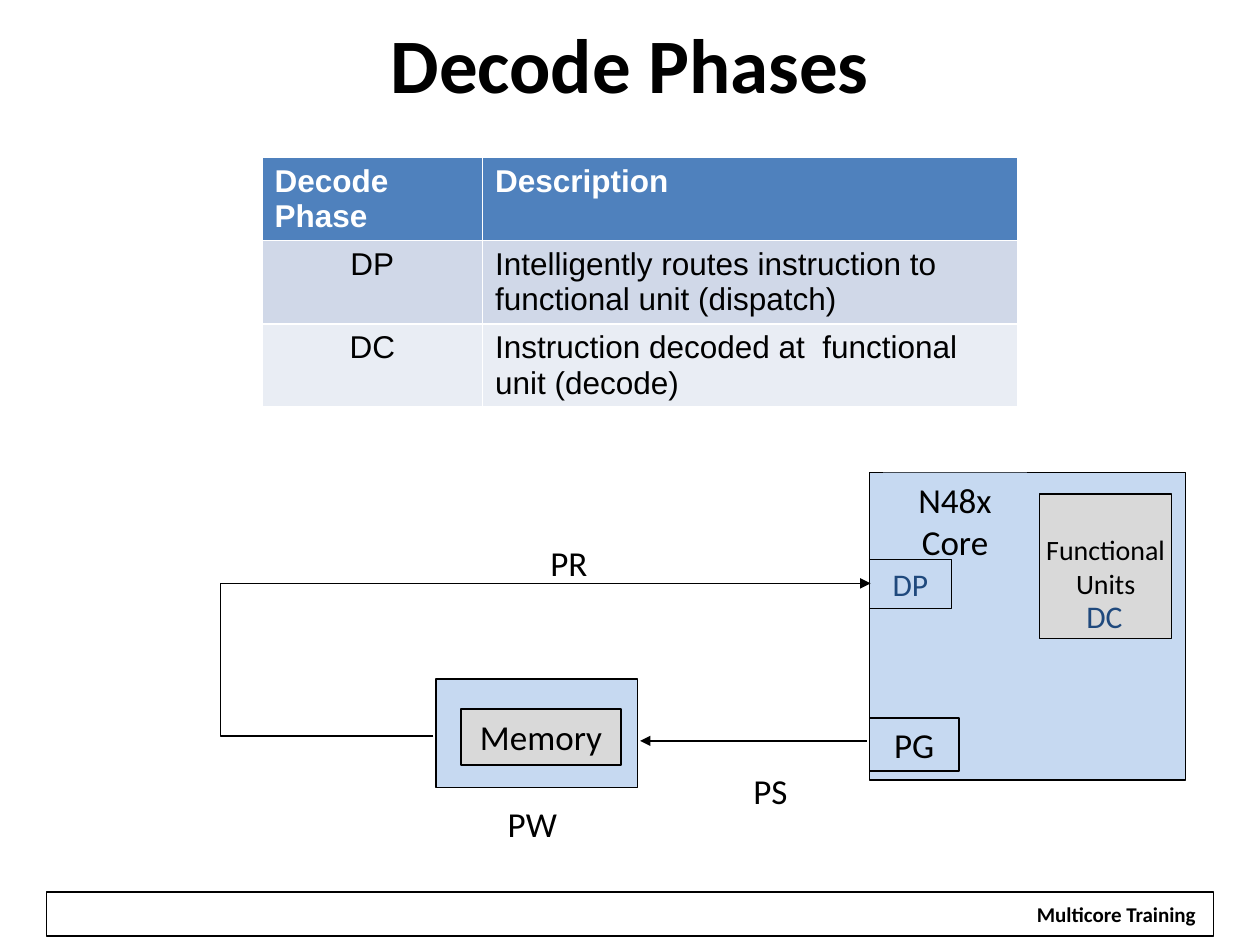
"""Build the Decode Phases slide: a phase table above a core and memory diagram."""
from lxml.etree import SubElement
from pptx import Presentation
from pptx.dml.color import RGBColor
from pptx.enum.shapes import MSO_CONNECTOR as Connector, MSO_SHAPE as Shape
from pptx.enum.text import MSO_ANCHOR as Anchor, PP_ALIGN as Align
from pptx.oxml.ns import qn
from pptx.util import Inches, Pt

WIDTH, HEIGHT = 10, 7.5
BLACK, WHITE, NAVY = "000000", "FFFFFF", "1F497D"
BLUE, GREY = "C6D9F1", "D9D9D9"
CORE_LEFT, CORE_TOP = 6.9, 3.75
LABEL = (0.65, 0.42)
TIGHT, NORMAL = (0.09, 0.04), (0.1, 0.05)

TITLE = "Decode Phases"
ROWS = [
    ("Decode Phase", "Description"),
    ("DP", "Intelligently routes instruction to functional unit (dispatch)"),
    ("DC", "Instruction decoded at  functional unit (decode)"),
]
ROW_FILLS = ["4F81BD", "D0D8E8", "E9EDF4"]
COLUMN_WIDTHS = [1.75, 4.25]
ROW_HEIGHT = 0.66

FOOTER = [
    dict(at=(0.37, 7.08, 9.26, 0.35), line=0.75),
    dict(at=(8.12, 7.11, 1.48, 0.3), fill=WHITE, text="Multicore Training",
         size=12, bold=True, wrap=False),
]
DIAGRAM = [
    dict(at=(3.9, 6.33, *LABEL), text="PW", inset=TIGHT),
    dict(at=(CORE_LEFT, CORE_TOP, 2.51, 2.44), fill=BLUE, line=1),
    dict(at=(7.01, CORE_TOP, 1.14, 0.81), fill=BLUE, text="N48x\vCore"),
    dict(at=(5.79, 6.07, *LABEL), text="PS", inset=TIGHT),
    dict(at=(3.46, 5.39, 1.6, 0.86), fill=BLUE, line=1),
    dict(at=(3.66, 5.63, 1.27, 0.44), fill=GREY, line=1, text="Memory"),
    dict(at=(4.19, 4.26, *LABEL), text="PR", inset=TIGHT),
    dict(at=(CORE_LEFT, 5.7, 0.71, 0.42), line=1, text="PG", inset=TIGHT),
    dict(at=(8.25, 3.92, 1.05, 1.15), fill=GREY, line=0.75, text="Functional\nUnits",
         size=16, anchor=Anchor.MIDDLE, wrap=False),
    dict(at=(CORE_LEFT, 4.44, 0.65, 0.39), line=0.75, text="DP", size=18,
         color=NAVY, inset=TIGHT),
    dict(at=(8.31, 4.7, 0.91, 0.39), text="DC", size=18, color=NAVY, inset=TIGHT),
]
FETCH_ARROW = [(6.88, 5.88), (5.08, 5.88)]
RETURN_ARROW = [(3.44, 5.84), (1.75, 5.84), (1.75, 4.63), (6.91, 4.63)]


def rgb(value):
    return RGBColor.from_string(value)


def style(para, size, color, font="Calibri", bold=False, align=Align.CENTER):
    para.alignment = align
    for span in para.runs:
        span.font.name, span.font.size, span.font.bold = font, Pt(size), bold
        span.font.color.rgb = rgb(color)


def add_box(page, at, fill=None, line=None, text="", size=20, color=BLACK,
            bold=False, inset=NORMAL, anchor=Anchor.TOP, wrap=True):
    place = [Inches(length) for length in at]
    if fill or line:
        box = page.shapes.add_shape(Shape.RECTANGLE, *place)
        box.shadow.inherit = False
    else:
        box = page.shapes.add_textbox(*place)
    if fill:
        box.fill.solid()
        box.fill.fore_color.rgb = rgb(fill)
    else:
        box.fill.background()
    if line:
        box.line.color.rgb, box.line.width = rgb(BLACK), Pt(line)
    else:
        box.line.fill.background()
    frame = box.text_frame
    frame.word_wrap, frame.vertical_anchor = wrap, anchor
    frame.margin_left = frame.margin_right = Inches(inset[0])
    frame.margin_top = frame.margin_bottom = Inches(inset[1])
    if text:
        frame.text = text
        for para in frame.paragraphs:
            style(para, size, color, bold=bold)


def add_table(page):
    grid = page.shapes.add_table(
        len(ROWS), len(COLUMN_WIDTHS), Inches(2.08), Inches(1.25),
        Inches(sum(COLUMN_WIDTHS)), Inches(ROW_HEIGHT * len(ROWS))).table
    for column, width in zip(grid.columns, COLUMN_WIDTHS):
        column.width = Inches(width)
    for r, (texts, fill) in enumerate(zip(ROWS, ROW_FILLS)):
        header = r == 0
        for c, text in enumerate(texts):
            cell = grid.cell(r, c)
            cell.fill.solid()
            cell.fill.fore_color.rgb = rgb(fill)
            cell.text = text
            style(cell.text_frame.paragraphs[0], 18, WHITE if header else BLACK,
                  "Arial", header, Align.LEFT if header or c else Align.CENTER)


def add_arrow(page, points):
    spots = [(Inches(x), Inches(y)) for x, y in points]
    if len(spots) == 2:
        arrow = page.shapes.add_connector(Connector.STRAIGHT, *spots[0], *spots[1])
    else:
        outline = page.shapes.build_freeform(*spots[0])
        outline.add_line_segments(spots[1:], close=False)
        arrow = outline.convert_to_shape()
        arrow.fill.background()
    arrow.line.color.rgb, arrow.line.width = rgb(BLACK), Pt(1)
    properties = arrow.element.spPr
    SubElement(properties.find(qn("a:ln")), qn("a:tailEnd"), type="triangle")
    SubElement(properties, qn("a:effectLst"))


def main():
    deck = Presentation()
    deck.slide_width, deck.slide_height = Inches(WIDTH), Inches(HEIGHT)
    page = deck.slides.add_slide(deck.slide_layouts[5])
    title = page.shapes.title
    title.left, title.top = Inches(0.5), Inches(0.08)
    title.width, title.height = Inches(9), Inches(0.83)
    title.text_frame.text = TITLE
    title.text_frame.vertical_anchor = Anchor.MIDDLE
    style(title.text_frame.paragraphs[0], 44, BLACK, bold=True)
    add_table(page)
    for box in FOOTER + DIAGRAM:
        add_box(page, **box)
    for points in (FETCH_ARROW, RETURN_ARROW):
        add_arrow(page, points)
    deck.save("out.pptx")


if __name__ == "__main__":
    main()
